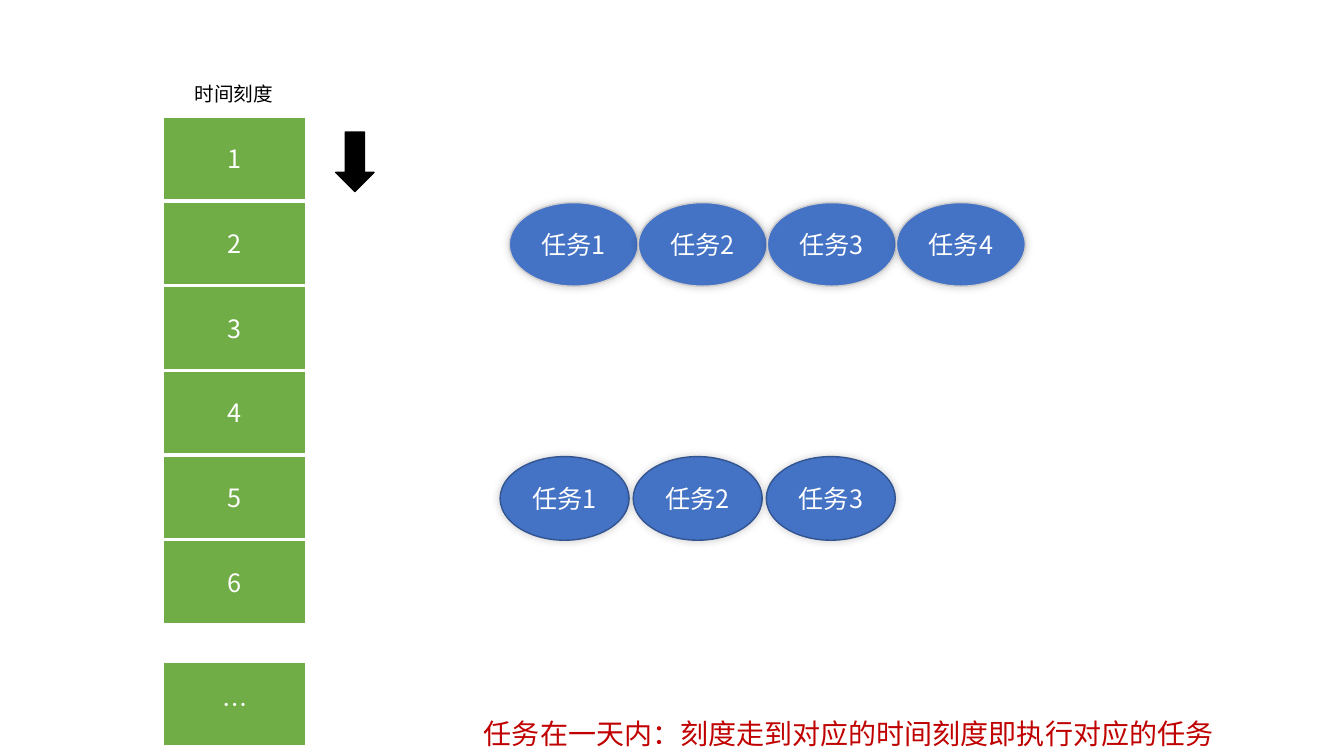
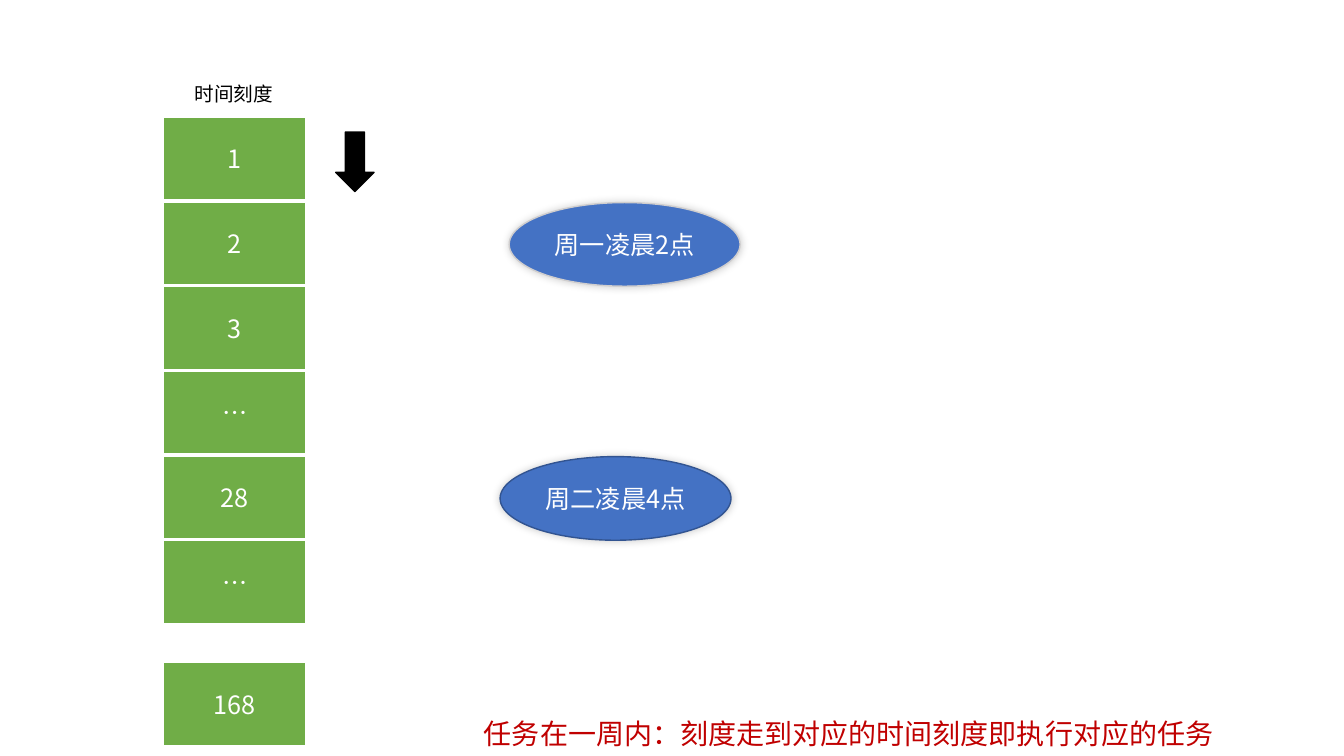
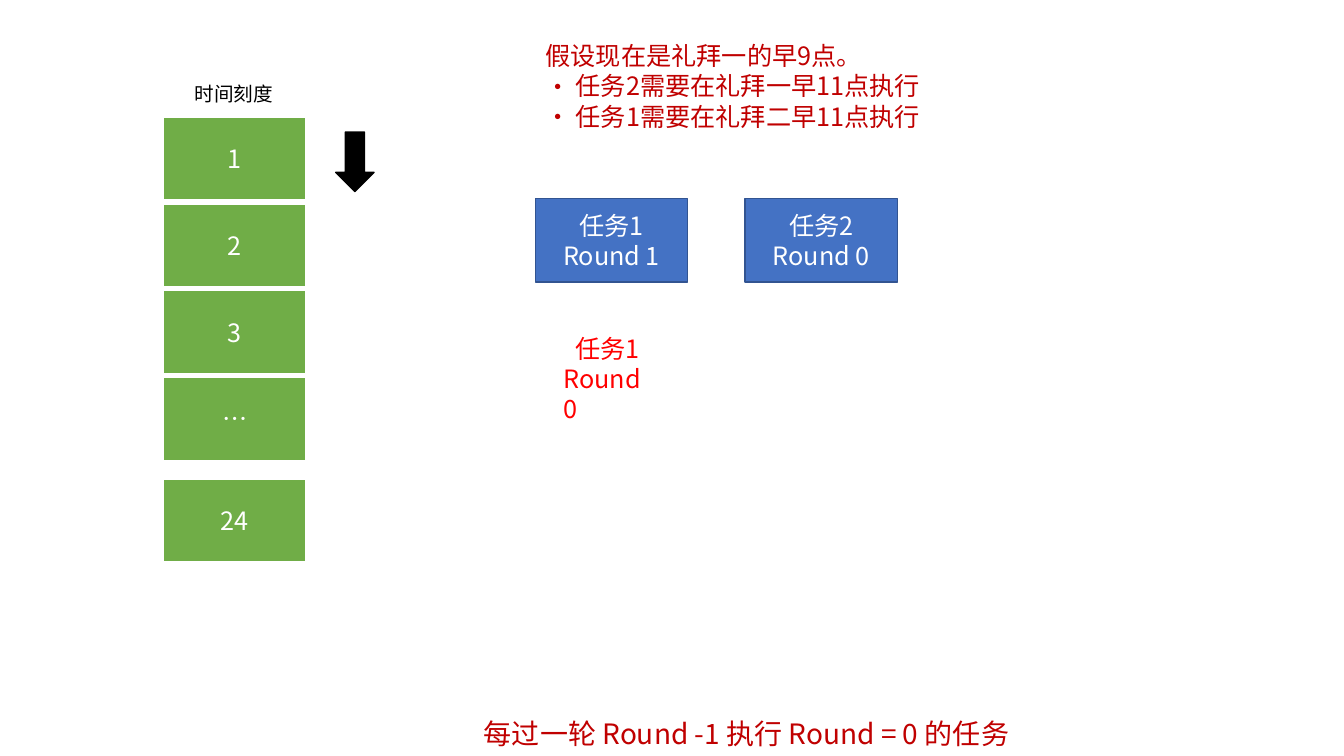
import pptx
import pptx.dml.color
import pptx.enum.shapes
import pptx.enum.text
import pptx.oxml
import pptx.oxml.ns
import pptx.util
from lxml import etree

Inches = pptx.util.Inches
Pt = pptx.util.Pt
RGBColor = pptx.dml.color.RGBColor
Shape = pptx.enum.shapes.MSO_SHAPE
Align = pptx.enum.text.PP_ALIGN
Anchor = pptx.enum.text.MSO_ANCHOR
qn = pptx.oxml.ns.qn

FONT = "Noto Sans CJK SC"
WHITE = RGBColor(0xFF, 0xFF, 0xFF)
BLACK = RGBColor(0x00, 0x00, 0x00)
GREEN = RGBColor(0x70, 0xAD, 0x47)
BLUE = RGBColor(0x44, 0x72, 0xC4)
NAVY = RGBColor(0x32, 0x54, 0x91)
SILVER = RGBColor(0xD0, 0xCE, 0xCE)
CRIMSON = RGBColor(0xC0, 0x00, 0x00)
RED = RGBColor(0xFF, 0x00, 0x00)

TITLE_AND_CONTENT, TITLE_ONLY = 1, 5
ROW_HEIGHT = 0.83
SCALE_TOP = 1.16
GLOW = (
    f'<a:outerShdw {pptx.oxml.ns.nsdecls("a")} blurRad="76200" dist="0" dir="18900000">'
    '<a:srgbClr val="000000"><a:alpha val="20000"/></a:srgbClr></a:outerShdw>'
)


class Deck:
    """Holds the presentation, its style and the current slide."""

    def __init__(self):
        """Start an empty widescreen presentation."""
        self.presentation = pptx.Presentation()
        self.presentation.slide_width = Inches(13.33)
        self.presentation.slide_height = Inches(7.5)
        self.slide = None

    def fill_text(self, frame, lines, size, color, align=Align.LEFT, anchor=Anchor.TOP):
        """Fill a text frame with one paragraph per line."""
        frame.auto_size = pptx.enum.text.MSO_AUTO_SIZE.NONE
        frame.vertical_anchor = anchor
        frame.text = "\n".join(lines)
        for paragraph in frame.paragraphs:
            paragraph.alignment = align
            paragraph.space_before = Pt(0)
            paragraph.font.size = Pt(size)
            paragraph.font.color.rgb = color
            paragraph.font.name = FONT
            defaults = paragraph._p.pPr.find(qn("a:defRPr"))
            etree.SubElement(defaults, qn("a:ea"), typeface=FONT)

    def place(self, item, left, top, width, height):
        """Move and size a placeholder."""
        item.left, item.top = Inches(left), Inches(top)
        item.width, item.height = Inches(width), Inches(height)

    def shape(self, preset, box, fill, line, line_width=1, lines=(), glow=False):
        """Add a preset shape with centred white text."""
        figure = self.slide.shapes.add_shape(preset, *map(Inches, box))
        figure.shadow.inherit = False
        if glow:
            effects = figure._element.spPr.find(qn("a:effectLst"))
            effects.append(pptx.oxml.parse_xml(GLOW))
        figure.fill.solid()
        figure.fill.fore_color.rgb = fill
        figure.line.color.rgb = line
        figure.line.width = Pt(line_width)
        if lines:
            self.fill_text(figure.text_frame, lines, 18, WHITE, Align.CENTER, Anchor.MIDDLE)

    def text(self, box, lines, size, color, wrap=True, anchor=Anchor.TOP):
        """Add a text box and return its frame."""
        frame = self.slide.shapes.add_textbox(*map(Inches, box)).text_frame
        self.fill_text(frame, lines, size, color, anchor=anchor)
        frame.word_wrap = wrap
        return frame

    def cell(self, label, top):
        """Add one cell of the time scale."""
        self.shape(Shape.RECTANGLE, (1.62, top, 1.42, ROW_HEIGHT), GREEN, WHITE, 1.5, [label])

    def start(self, layout, rule, ticks, last, step, last_top):
        """Start a slide with its rule, time scale and pointer."""
        layouts = self.presentation.slide_layouts
        self.slide = self.presentation.slides.add_slide(layouts[layout])
        title = self.slide.shapes.title
        self.place(title, 4.7, 7.06, 8.63, 0.44)
        self.fill_text(title.text_frame, [rule], 20, CRIMSON)
        self.text((1.83, 0.76, 0.99, 0.34), ["时间刻度"], 14, BLACK, wrap=False)
        for row, tick in enumerate(ticks):
            self.cell(tick, SCALE_TOP + row * step)
        self.cell(last, last_top)
        self.shape(Shape.DOWN_ARROW, (3.33, 1.31, 0.38, 0.59), BLACK, BLACK)

    def tasks(self, labels, left, top, line, width=1.28, step=1.28):
        """Add a row of task ellipses."""
        for column, label in enumerate(labels):
            box = (left + column * step, top, width, ROW_HEIGHT)
            self.shape(Shape.OVAL, box, BLUE, line, lines=[label], glow=True)

    def schedule(self, intro, items):
        """Fill the body placeholder with an intro and a bulleted list."""
        body = self.slide.placeholders[1]
        self.place(body, 5.31, 0.35, 6.67, 1.01)
        self.fill_text(body.text_frame, [intro, *items], 18, CRIMSON)
        for paragraph in body.text_frame.paragraphs:
            properties = paragraph._p.pPr
            bulleted = paragraph.text != intro
            hang = Inches(0.3) if bulleted else 0
            properties.set("marL", str(hang))
            properties.set("indent", str(-hang))
            defaults = properties.find(qn("a:defRPr"))
            if bulleted:
                for tag, key, value in (("a:buFont", "typeface", FONT), ("a:buChar", "char", "·")):
                    mark = etree.Element(qn(tag))
                    mark.set(key, value)
                    defaults.addprevious(mark)
            else:
                defaults.addprevious(etree.Element(qn("a:buNone")))


def day_slide(deck):
    """Tasks within one day."""
    deck.start(TITLE_ONLY, "任务在一天内：刻度走到对应的时间刻度即执行对应的任务",
               "123456", "…", 0.84, 6.57)
    names = [f"任务{number}" for number in range(1, 5)]
    deck.tasks(names, 5.05, 2.01, SILVER)
    deck.tasks(names[:3], 4.96, 4.53, NAVY, step=1.32)


def week_slide(deck):
    """Tasks within one week."""
    deck.start(TITLE_ONLY, "任务在一周内：刻度走到对应的时间刻度即执行对应的任务",
               ["1", "2", "3", "…", "28", "…"], "168", 0.84, 6.57)
    deck.tasks(["周一凌晨2点"], 5.05, 2.01, SILVER, width=2.29)
    deck.tasks(["周二凌晨4点"], 4.96, 4.53, NAVY, width=2.29)


def round_slide(deck):
    """Tasks that count rounds."""
    deck.start(TITLE_AND_CONTENT, "每过一轮 Round -1 执行 Round = 0 的任务",
               "123…", "24", 0.86, 4.75)
    deck.schedule("假设现在是礼拜一的早9点。",
                  ["任务2需要在礼拜一早11点执行", "任务1需要在礼拜二早11点执行"])
    for left, lines in ((5.31, ["任务1", "Round 1"]), (7.39, ["任务2", "Round 0"])):
        deck.shape(Shape.RECTANGLE, (left, 1.97, 1.51, ROW_HEIGHT), BLUE, NAVY, lines=lines)
    next_round = deck.text((5.49, 3.4, 1.11, 0.71), ["任务1", "Round 0"], 18, RED,
                           anchor=Anchor.MIDDLE)
    next_round.paragraphs[0]._p.pPr.set("indent", str(Inches(0.12)))


deck = Deck()
day_slide(deck)
week_slide(deck)
round_slide(deck)
deck.presentation.save("out.pptx")
